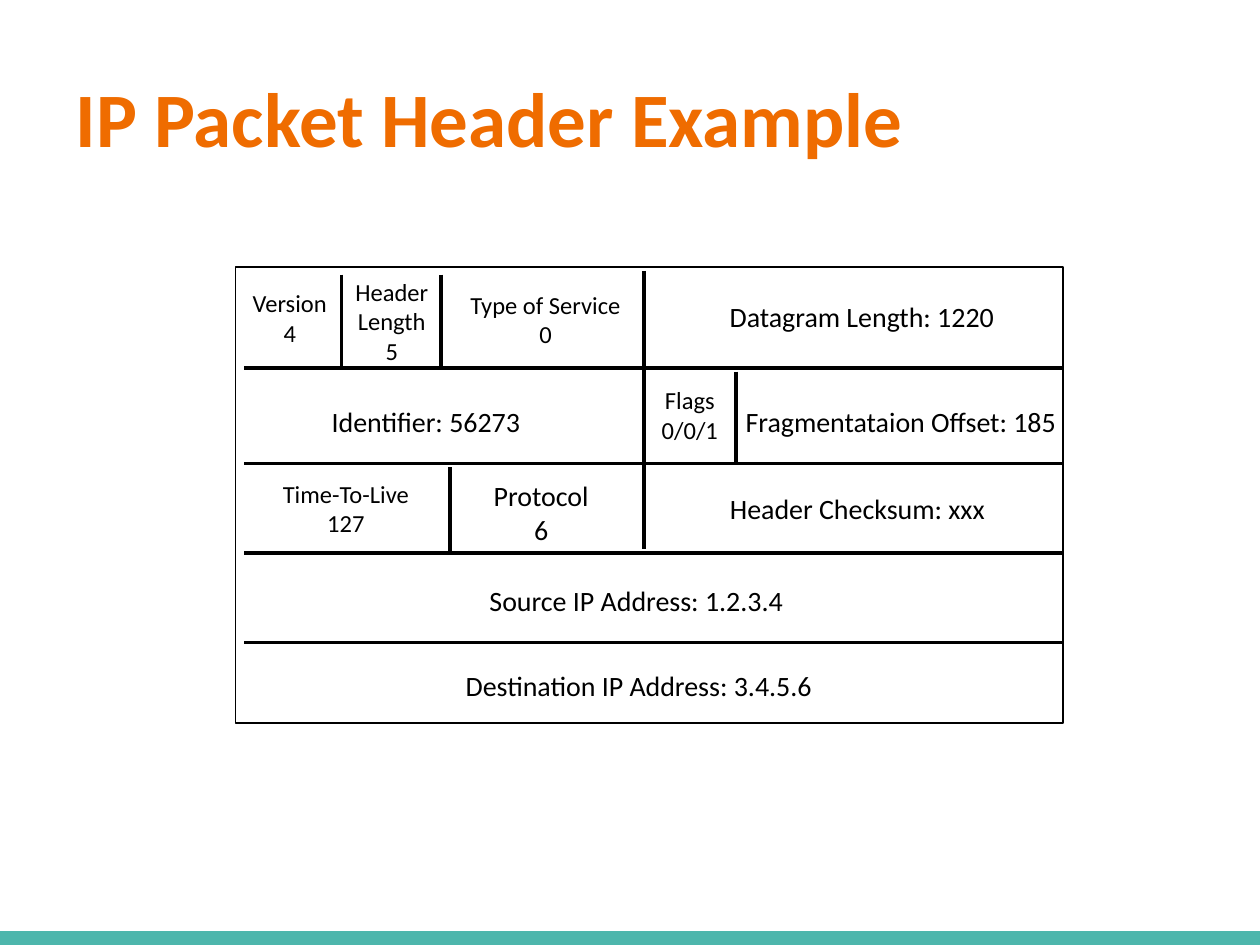
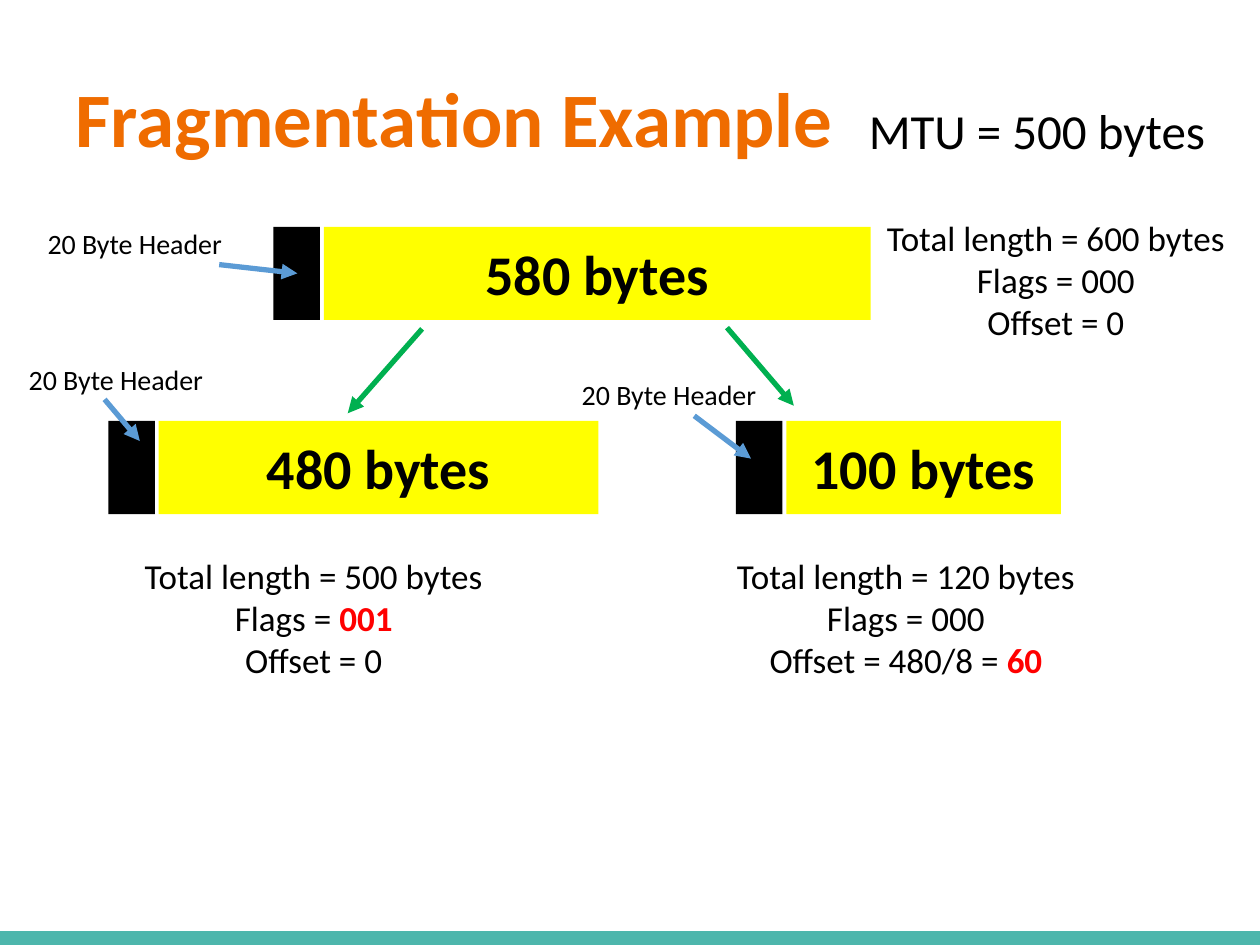
from lxml import etree
from pptx import Presentation
from pptx.dml.color import RGBColor
from pptx.enum.shapes import MSO_CONNECTOR, MSO_SHAPE
from pptx.enum.text import MSO_ANCHOR, PP_ALIGN
from pptx.oxml.ns import qn
from pptx.util import Inches, Pt

STRAIGHT = MSO_CONNECTOR.STRAIGHT
RECT = MSO_SHAPE.RECTANGLE
TOP, MIDDLE = MSO_ANCHOR.TOP, MSO_ANCHOR.MIDDLE
LEFT, CENTER = PP_ALIGN.LEFT, PP_ALIGN.CENTER

FONT = "Calibri"
BLACK = RGBColor(0x00, 0x00, 0x00)
ORANGE = RGBColor(0xEF, 0x6C, 0x00)
TEAL = RGBColor(0x4D, 0xB6, 0xAC)
YELLOW = RGBColor(0xFF, 0xFF, 0x00)
GREEN = RGBColor(0x00, 0xB0, 0x50)
BLUE = RGBColor(0x5B, 0x9B, 0xD5)
RED = RGBColor(0xFF, 0x00, 0x00)

HEAD_W, GAP, BAR_H = 0.37, 0.03, 0.74

ROWS = [0.8, 1.56, 2.27, 2.98]
SPLITS = [
    (3.24, 0.03, 2.24),
    (0.84, 0.06, 0.79),
    (1.63, 0.06, 0.79),
    (3.97, 0.83, 1.55),
    (1.7, 1.59, 2.25),
]
FIELDS = [
    (0.03, 0.12, 0.8, 14, ["Version", "4"]),
    (0.84, 0.03, 0.8, 14, ["Header", "Length", "5"]),
    (1.76, 0.13, 1.4, 14, ["Type of Service", "0"]),
    (3.81, 0.21, 2.32, 16, ["Datagram Length: 1220"]),
    (0.65, 1.04, 1.72, 16, ["Identifier: 56273"]),
    (3.28, 0.89, 0.65, 14, ["Flags", "0/0/1"]),
    (3.93, 1.04, 2.7, 16, ["Fragmentataion Offset: 185"]),
    (0.27, 1.63, 1.21, 14, ["Time-To-Live", "127"]),
    (1.73, 1.63, 1.39, 16, ["Protocol", "6"]),
    (3.81, 1.73, 2.25, 16, ["Header Checksum: xxx"]),
    (1.9, 2.46, 2.56, 16, ["Source IP Address: 1.2.3.4"]),
    (1.71, 3.14, 2.98, 16, ["Destination IP Address: 3.4.5.6"]),
]


def style(para, size, color=BLACK, bold=False, align=CENTER):
    para.alignment = align
    font = para.font
    font.name, font.size, font.bold = FONT, Pt(size), bold
    font.color.rgb = color


def line(slide, start, end, color=BLACK, width=2, arrow=False):
    link = slide.shapes.add_connector(
        STRAIGHT, *(Inches(v) for v in (*start, *end)))
    link.line.color.rgb = color
    link.line.width = Pt(width)
    if arrow:
        etree.SubElement(link.line._get_or_add_ln(), qn("a:tailEnd"),
                         type="triangle")
    etree.SubElement(link._element.spPr, qn("a:effectLst"))


def rect(slide, x, y, w, h, fill=None):
    shape = slide.shapes.add_shape(
        RECT, Inches(x), Inches(y), Inches(w), Inches(h))
    shape.shadow.inherit = False
    if fill is None:
        shape.fill.background()
        shape.line.color.rgb = BLACK
        shape.line.width = Pt(1)
    else:
        shape.fill.solid()
        shape.fill.fore_color.rgb = fill
        shape.line.fill.background()
    return shape


def label(slide, x, y, w, size, rows):
    height = 0.1 + len(rows) * size / 60
    box = slide.shapes.add_textbox(
        Inches(x), Inches(y), Inches(w), Inches(height))
    frame = box.text_frame
    frame.word_wrap = True
    frame.vertical_anchor = TOP
    frame.margin_left = frame.margin_right = Inches(0.05)
    for i, row in enumerate(rows):
        para = frame.paragraphs[0] if i == 0 else frame.add_paragraph()
        style(para, size)
        plain, _, key = row.partition("|")
        para.add_run().text = plain
        if key:
            run = para.add_run()
            run.text = key
            run.font.bold = True
            run.font.color.rgb = RED


def new_slide(deck, text):
    slide = deck.slides.add_slide(deck.slide_layouts[5])
    line(slide, (0, 7.46), (10, 7.46), TEAL, 10)
    title = slide.shapes.title
    title.left, title.top = Inches(0.5), Inches(0.3)
    title.width, title.height = Inches(9), Inches(1.25)
    title.text = text
    title.text_frame.vertical_anchor = MIDDLE
    style(title.text_frame.paragraphs[0], 44, ORANGE, True, LEFT)
    return slide


def header_grid(slide, x, y, w, h):
    rect(slide, x, y, w, h)
    for row in ROWS:
        line(slide, (x + 0.07, y + row), (x + w, y + row))
    for col, top, base in SPLITS:
        line(slide, (x + col, y + top), (x + col, y + base))
    for left, top, wide, size, rows in FIELDS:
        label(slide, x + left, y + top, wide, size, rows)


def packet(slide, x, y, w, text, tag, start, tip):
    rect(slide, x, y, HEAD_W, BAR_H, BLACK)
    left = HEAD_W + GAP
    load = rect(slide, x + left, y, w - left, BAR_H, YELLOW)
    load.text_frame.text = text
    load.text_frame.vertical_anchor = MIDDLE
    style(load.text_frame.paragraphs[0], 32, bold=True)
    label(slide, x + tag[0], y + tag[1], 1.8, 16, ["20 Byte Header"])
    line(slide, (x + start[0], y + start[1]), (x + tip[0], y + tip[1]),
         BLUE, 3, True)


def header_slide(deck):
    slide = new_slide(deck, "IP Packet Header Example")
    header_grid(slide, 1.87, 2.12, 6.57, 3.62)


def split_slide(deck):
    slide = new_slide(deck, "Fragmentation Example")
    label(slide, 6.53, 0.75, 3.4, 28, ["MTU = 500 bytes"])
    packet(slide, 2.17, 1.8, 4.74, "580 bytes",
           (-2, -0.05), (-0.43, 0.3), (0.19, 0.37))
    packet(slide, 0.86, 3.34, 3.89, "480 bytes",
           (-0.84, -0.51), (-0.03, -0.17), (0.25, 0.16))
    packet(slide, 5.84, 3.34, 2.58, "100 bytes",
           (-1.43, -0.39), (-0.33, -0.04), (0.12, 0.3))
    line(slide, (3.35, 2.61), (2.76, 3.28), GREEN, 3, True)
    line(slide, (5.77, 2.6), (6.3, 3.22), GREEN, 3, True)
    notes = [
        (6.88, 1.67, 600, "000", "0"),
        (0.99, 4.35, 500, "|001", "0"),
        (5.69, 4.35, 120, "000", "480/8 = |60"),
    ]
    for x, y, size, flags, shift in notes:
        label(slide, x, y, 3, 20, [f"Total length = {size} bytes",
                                   f"Flags = {flags}", f"Offset = {shift}"])


def main():
    deck = Presentation()
    deck.slide_width, deck.slide_height = Inches(10), Inches(7.5)
    header_slide(deck)
    split_slide(deck)
    deck.save("out.pptx")


if __name__ == "__main__":
    main()
